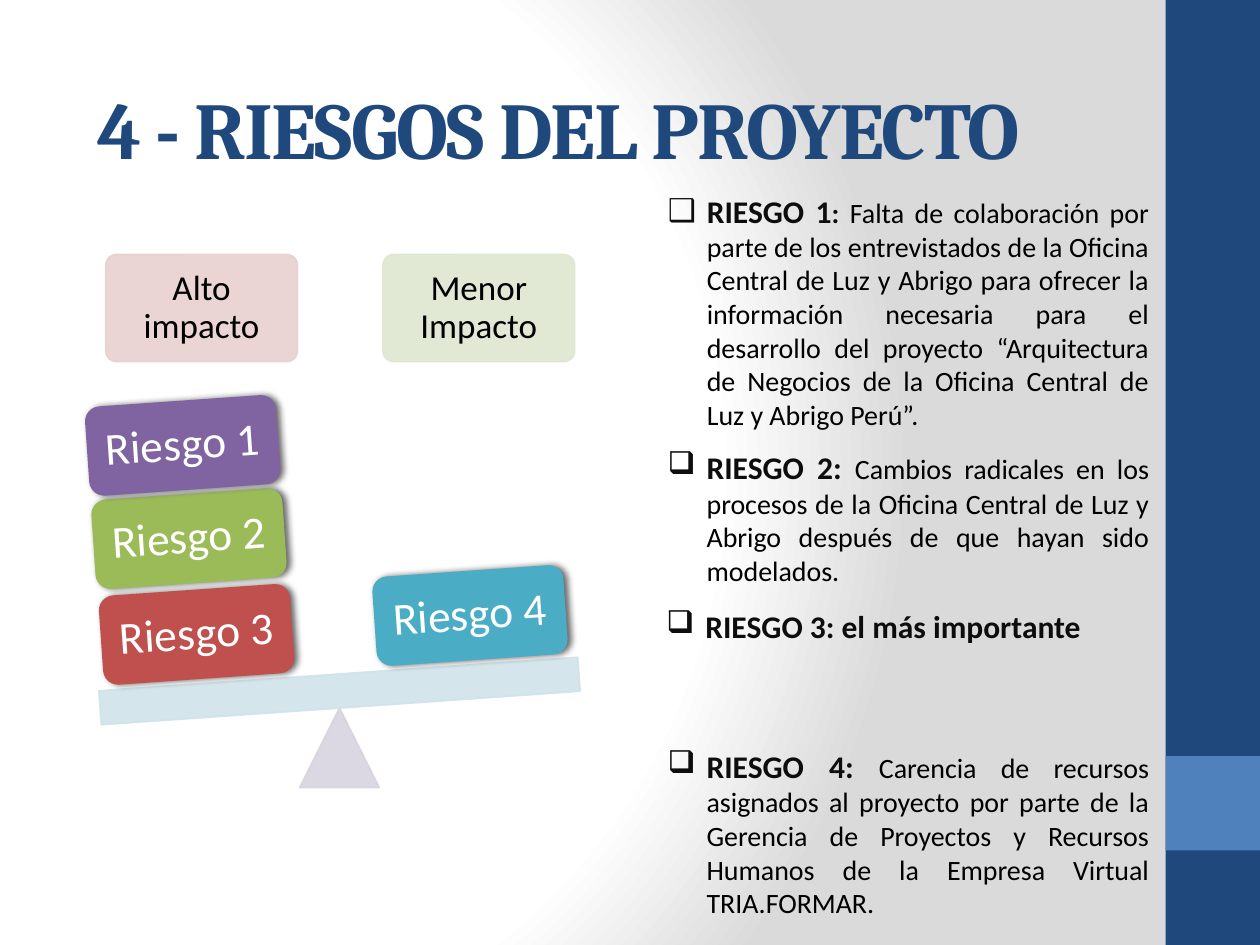
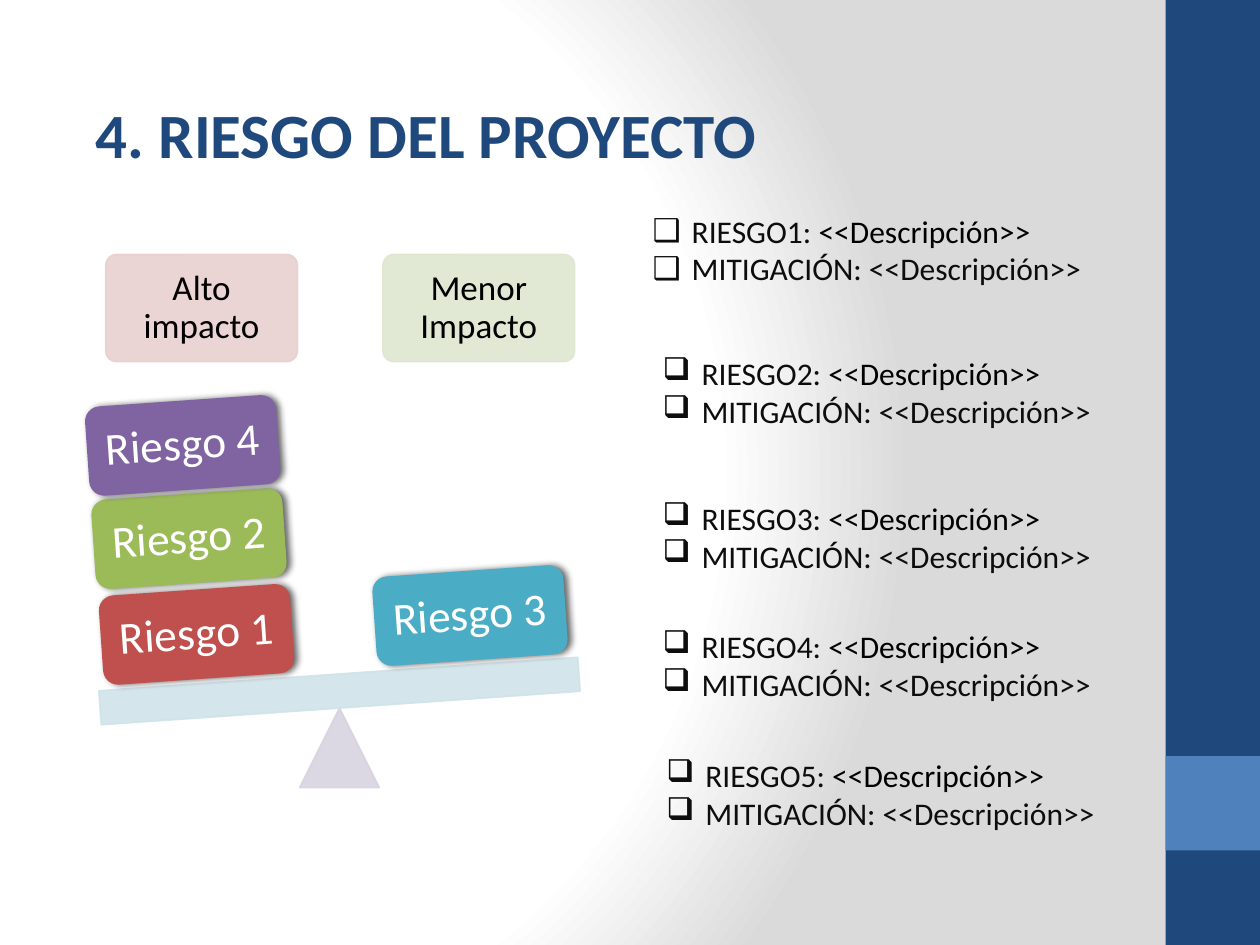
from dataclasses import dataclass

from lxml import etree
from pptx import Presentation
from pptx.dml.color import RGBColor
from pptx.enum.shapes import MSO_SHAPE
from pptx.enum.text import MSO_ANCHOR, MSO_AUTO_SIZE, PP_ALIGN
from pptx.oxml import parse_xml
from pptx.oxml.ns import nsdecls, qn
from pptx.util import Inches, Pt

RECT, ROUNDED, TRIANGLE = MSO_SHAPE.RECTANGLE, MSO_SHAPE.ROUNDED_RECTANGLE, MSO_SHAPE.ISOSCELES_TRIANGLE
TOP, MIDDLE = MSO_ANCHOR.TOP, MSO_ANCHOR.MIDDLE
LEFT, CENTER, JUSTIFY = PP_ALIGN.LEFT, PP_ALIGN.CENTER, PP_ALIGN.JUSTIFY
FIXED, GROW = MSO_AUTO_SIZE.NONE, MSO_AUTO_SIZE.SHAPE_TO_FIT_TEXT

NAVY = RGBColor(0x1F, 0x49, 0x7D)
BLUE = RGBColor(0x4F, 0x81, 0xBD)
INK = RGBColor(0x0D, 0x0D, 0x0D)
BLACK = RGBColor(0, 0, 0)
WHITE = RGBColor(0xFF, 0xFF, 0xFF)
PINK = RGBColor(0xE8, 0xD0, 0xD0)
PALE_GREEN = RGBColor(0xDE, 0xE7, 0xD1)
LILAC = RGBColor(0xD8, 0xD3, 0xE0)
PALE_BLUE = RGBColor(0xD0, 0xE3, 0xEA)
RED = RGBColor(0xC0, 0x50, 0x4D)
GREEN = RGBColor(0x9B, 0xBB, 0x59)
PURPLE = RGBColor(0x80, 0x64, 0xA2)
TEAL = RGBColor(0x4B, 0xAC, 0xC6)

BODY_FONT, DISPLAY_FONT = "Calibri", "Cambria"
TILT = 356
LIST_WIDTH = 4.02
LIST_INDENT = 0.31

BACKDROP = f"""<a:gradFill {nsdecls('a')} rotWithShape="1"><a:gsLst>
<a:gs pos="0"><a:srgbClr val="FFFFFF"/></a:gs>
<a:gs pos="75000"><a:srgbClr val="FFFFFF"/></a:gs>
<a:gs pos="100000"><a:srgbClr val="DADADA"/></a:gs></a:gsLst>
<a:path path="circle"><a:fillToRect l="20000" t="50000" r="100000" b="50000"/></a:path>
</a:gradFill>"""
CARD_SHADOW = f"""<a:effectLst {nsdecls('a')}>
<a:outerShdw blurRad="50800" dist="25400" dir="0" rotWithShape="0">
<a:srgbClr val="000000"><a:alpha val="60000"/></a:srgbClr></a:outerShdw></a:effectLst>"""


@dataclass(frozen=True)
class Box:
    left: float
    top: float
    width: float
    height: float

    def lengths(self):
        return [Inches(v) for v in (self.left, self.top, self.width, self.height)]


@dataclass(frozen=True)
class Span:
    text: str
    size: int = 18
    color: RGBColor = INK
    bold: bool = False


@dataclass(frozen=True)
class RiskNote:
    left: float
    top: float
    height: float
    items: list[list[Span]]


@dataclass(frozen=True)
class Card:
    left: float
    top: float
    color: RGBColor


CARDS = [Card(0.8, 4.68, RED), Card(0.74, 3.92, GREEN),
         Card(0.69, 3.18, PURPLE), Card(2.97, 4.53, TEAL)]
IMPACT_LABELS = [("Alto impacto", 0.84, PINK), ("Menor Impacto", 3.04, PALE_GREEN)]


def add_run(paragraph, text: str, *, size: int, color: RGBColor, bold: bool = False,
            font: str = BODY_FONT, spacing: int = 0) -> None:
    run = paragraph.add_run()
    run.text = text
    run.font.name, run.font.size, run.font.bold = font, Pt(size), bold
    run.font.color.rgb = color
    if spacing:
        run.font._element.set("spc", str(spacing * 100))


def set_frame(frame, *, anchor=TOP, auto_size=FIXED) -> None:
    frame.word_wrap = True
    frame.auto_size = auto_size
    frame.vertical_anchor = anchor


def fade(fill) -> None:
    """Make a solid fill 90 % opaque."""
    for color in fill._xPr.iter(qn("a:srgbClr")):
        if color.find(qn("a:alpha")) is None:
            etree.SubElement(color, qn("a:alpha")).set("val", "90000")


def add_block(slide, kind, box: Box, color: RGBColor, *, tilt: int = 0, pale: bool = False):
    block = slide.shapes.add_shape(kind, *box.lengths())
    block.shadow.inherit = False
    block.rotation = tilt
    block.fill.solid()
    block.fill.fore_color.rgb = color
    if pale:
        block.line.color.rgb = color
        block.line.width = Pt(1)
        fade(block.fill)
    else:
        block.line.fill.background()
    return block


def label_block(block, text: str, *, size: int, color: RGBColor, inset: float) -> None:
    frame = block.text_frame
    set_frame(frame, anchor=MIDDLE)
    frame.margin_left = frame.margin_right = Inches(inset)
    frame.margin_top = frame.margin_bottom = Inches(inset)
    paragraph = frame.paragraphs[0]
    paragraph.alignment, paragraph.line_spacing = CENTER, 0.9
    add_run(paragraph, text, size=size, color=color)


def add_scale(slide, risks: list[str]) -> None:
    """Draw the tilted scale; risks run from the bottom of the stack up, then the right pan."""
    for text, left, color in IMPACT_LABELS:
        label = add_block(slide, ROUNDED, Box(left, 2.02, 1.52, 0.85), color, pale=True)
        label.adjustments[0] = 0.1
        label_block(label, text, size=20, color=BLACK, inset=0.08)
    add_block(slide, TRIANGLE, Box(2.38, 5.62, 0.63, 0.63), LILAC, pale=True)
    add_block(slide, RECT, Box(0.79, 5.35, 3.81, 0.27), PALE_BLUE, tilt=TILT, pale=True)
    for card, risk in zip(CARDS, risks):
        block = add_block(slide, ROUNDED, Box(card.left, card.top, 1.52, 0.71), card.color, tilt=TILT)
        properties = block._element.spPr
        properties.replace(properties.find(qn("a:effectLst")), parse_xml(CARD_SHADOW))
        label_block(block, risk, size=26, color=WHITE, inset=0.11)


def set_title(slide, text: str, box: Box, **style) -> None:
    title = slide.shapes.title
    title.left, title.top, title.width, title.height = box.lengths()
    set_frame(title.text_frame)
    title.text_frame.margin_top = Inches(0.08)
    paragraph = title.text_frame.paragraphs[0]
    paragraph.alignment = LEFT
    add_run(paragraph, text, color=NAVY, bold=True, **style)


def fill_note(holder, note: RiskNote) -> None:
    frame = holder.text_frame
    set_frame(frame, auto_size=GROW)
    for index, spans in enumerate(note.items):
        paragraph = frame.add_paragraph() if index else frame.paragraphs[0]
        paragraph.alignment = JUSTIFY
        paragraph.space_before = Pt(0)
        properties = paragraph._p.get_or_add_pPr()
        properties.set("marL", str(Inches(LIST_INDENT)))
        properties.set("indent", str(-Inches(LIST_INDENT)))
        etree.SubElement(properties, qn("a:buChar")).set("char", "❑")
        for span in spans:
            add_run(paragraph, span.text, size=span.size, color=span.color, bold=span.bold)


def add_notes(slide, notes: list[RiskNote]) -> None:
    """The first note fills the body placeholder, the others stand in text boxes."""
    for index, note in enumerate(notes):
        lengths = Box(note.left, note.top, LIST_WIDTH, note.height).lengths()
        if index:
            holder = slide.shapes.add_textbox(*lengths)
        else:
            holder = slide.placeholders[1]
            holder.left, holder.top, holder.width, holder.height = lengths
        fill_note(holder, note)


def style_master(master, slide) -> None:
    """Give the master its gradient and the side bands, drawn first on a slide."""
    master.background.fill.solid()
    backdrop = master.element.find(".//" + qn("p:bgPr"))
    backdrop.replace(backdrop.find(qn("a:solidFill")), parse_xml(BACKDROP))
    for box, color in ((Box(9.25, 0, 0.75, 7.5), NAVY), (Box(9.25, 6, 0.75, 0.75), BLUE)):
        master.shapes.element.append(add_block(slide, RECT, box, color)._element)


def risk(heading: str, detail: str) -> list[Span]:
    return [Span(heading, bold=True), Span(detail, 16, BLACK)]


RISKS = [
    RiskNote(5.2, 1.47, 2.02, [[
        Span("RIESGO 1", bold=True), Span(": ", 16, bold=True),
        Span("Falta de colaboración por parte de los entrevistados de la Oficina Central de "
             "Luz y Abrigo para ofrecer la información necesaria para el desarrollo del proyecto "
             "“Arquitectura de Negocios de la Oficina Central de Luz y Abrigo Perú”.", 16, BLACK)]]),
    RiskNote(5.2, 3.51, 1.21, [risk(
        "RIESGO 2: ", "Cambios radicales en los procesos de la Oficina Central de Luz y Abrigo "
        "después de que hayan sido modelados.")]),
    RiskNote(5.19, 4.77, 0.4, [[Span("RIESGO 3: el más importante", bold=True)]]),
    RiskNote(5.2, 5.88, 1.78, [risk(
        "RIESGO 4: ", "Carencia de recursos asignados al proyecto por parte de la Gerencia de "
        "Proyectos y Recursos Humanos de la Empresa Virtual TRIA.FORMAR.")]),
]
MITIGATION_PLACES = [(5.08, 1.63), (5.16, 2.76), (5.16, 3.91), (5.16, 4.93), (5.19, 5.95)]
MITIGATIONS = [
    RiskNote(left, top, 0.71, [
        [Span(f"RIESGO{number}: "), Span("<<Descripción>>", color=BLACK)],
        [Span("MITIGACIÓN: <<Descripción>>")]])
    for number, (left, top) in enumerate(MITIGATION_PLACES, 1)
]


def main() -> None:
    deck = Presentation()
    deck.slide_width, deck.slide_height = Inches(10), Inches(7.5)
    layout = deck.slide_layouts[1]

    # Project risks
    risks = deck.slides.add_slide(layout)
    style_master(deck.slide_master, risks)
    set_title(risks, "4 - RIESGOS DEL PROYECTO", Box(0.67, 0.55, 8.94, 1),
              size=46, font=DISPLAY_FONT, spacing=-1)
    add_notes(risks, RISKS)
    add_scale(risks, ["Riesgo 3", "Riesgo 2", "Riesgo 1", "Riesgo 4"])

    # Risks with their mitigation
    mitigation = deck.slides.add_slide(layout)
    set_title(mitigation, "4. RIESGO DEL PROYECTO", Box(0.66, 0.68, 7.18, 1), size=36)
    add_scale(mitigation, ["Riesgo 1", "Riesgo 2", "Riesgo 4", "Riesgo 3"])
    add_notes(mitigation, MITIGATIONS)

    deck.save("out.pptx")


if __name__ == "__main__":
    main()
